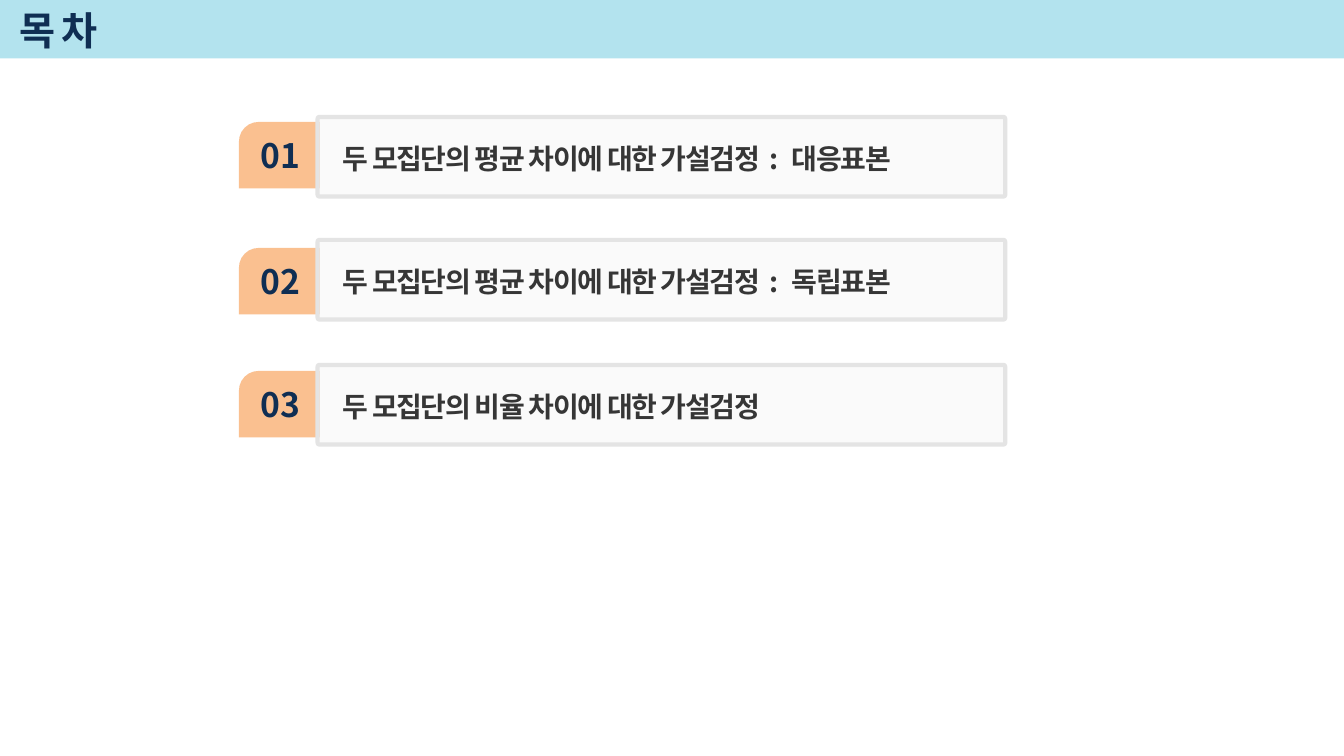
from lxml import etree
from pptx import Presentation
from pptx.dml.color import RGBColor
from pptx.enum.shapes import MSO_SHAPE
from pptx.enum.text import MSO_ANCHOR, PP_ALIGN
from pptx.oxml.ns import qn
from pptx.util import Inches, Pt

RECT = MSO_SHAPE.RECTANGLE
ROUND_RECT = MSO_SHAPE.ROUNDED_RECTANGLE
TAB_SHAPE = MSO_SHAPE.SNIP_ROUND_RECTANGLE
MIDDLE = MSO_ANCHOR.MIDDLE
TOP = MSO_ANCHOR.TOP
CENTER = PP_ALIGN.CENTER
LEFT = PP_ALIGN.LEFT

FONT = "Noto Sans CJK KR"
SKY = RGBColor(0xB3, 0xE3, 0xEE)
PEACH = RGBColor(0xFA, 0xC0, 0x90)
PANEL = RGBColor(0xF2, 0xF2, 0xF2)
BORDER = RGBColor(0xE4, 0xE4, 0xE4)
NAVY = RGBColor(0x0F, 0x2E, 0x53)
CHARCOAL = RGBColor(0x36, 0x36, 0x36)

COLON = " : "
COLON_SPACING = 2.4
ENTRIES = [
    ("01", 1.21, 1.16, ["두 모집단의 평균 차이에 대한 가설검정", COLON, "대응표본"]),
    ("02", 2.46, 2.38, ["두 모집단의 평균 차이에 대한 가설검정", COLON, "독립표본"]),
    ("03", 3.68, 3.62, ["두 모집단의 비율 차이에 대한 가설검정"]),
]


def add_box(slide, kind, left, top, width, height, fill, adjustments=()):
    sp = slide.shapes.add_shape(kind, Inches(left), Inches(top), Inches(width), Inches(height))
    sp.shadow.inherit = False
    sp.fill.solid()
    sp.fill.fore_color.rgb = fill
    sp.line.fill.background()
    for i, value in enumerate(adjustments):
        sp.adjustments[i] = value
    return sp


def add_panel(slide, top):
    sp = add_box(slide, ROUND_RECT, 3.15, top, 6.82, 0.79, PANEL, [0.023])
    color = sp.fill._xPr.find(qn("a:solidFill"))[0]
    etree.SubElement(color, qn("a:alpha")).set("val", "33000")
    sp.line.color.rgb = BORDER
    sp.line.width = Pt(3)


def add_label(slide, left, top, width, height, parts, size, color,
              align=LEFT, anchor=TOP, wrap=True, spacing=0):
    box = slide.shapes.add_textbox(Inches(left), Inches(top), Inches(width), Inches(height))
    tf = box.text_frame
    tf.word_wrap = wrap
    tf.vertical_anchor = anchor
    p = tf.paragraphs[0]
    p.alignment = align
    for part in parts:
        r = p.add_run()
        r.text = part
        r.font.name = FONT
        r.font.size = Pt(size)
        r.font.bold = True
        r.font.color.rgb = color
        rPr = r.font._element
        rPr.set("spc", str(round(100 * (COLON_SPACING if part == COLON else spacing))))
        ea = etree.Element(qn("a:ea"))
        ea.set("typeface", FONT)
        rPr.find(qn("a:latin")).addnext(ea)
    return p


def add_entry(slide, number, tab_top, panel_top, parts):
    add_box(slide, TAB_SHAPE, 2.37, tab_top, 0.8, 0.66, PEACH, [0.296, 0])
    add_label(slide, 2.49, tab_top + 0.08, 0.59, 0.5, [number], 24, NAVY,
              align=CENTER, wrap=False)
    add_panel(slide, panel_top)
    p = add_label(slide, 3.3, panel_top + 0.16, 6.36, 0.44, parts, 20, CHARCOAL, spacing=-1)
    p.line_spacing = 1.1
    p.space_after = Pt(3)


def main():
    prs = Presentation()
    prs.slide_width = Inches(13.33)
    prs.slide_height = Inches(7.5)
    slide = prs.slides.add_slide(prs.slide_layouts[6])
    add_box(slide, RECT, 0, 0, 13.33, 0.58, SKY)
    add_label(slide, 0.09, 0.04, 11.35, 0.52, ["목 차"], 28, NAVY, anchor=MIDDLE, spacing=-1)
    for entry in ENTRIES:
        add_entry(slide, *entry)
    prs.save("out.pptx")


if __name__ == "__main__":
    main()
